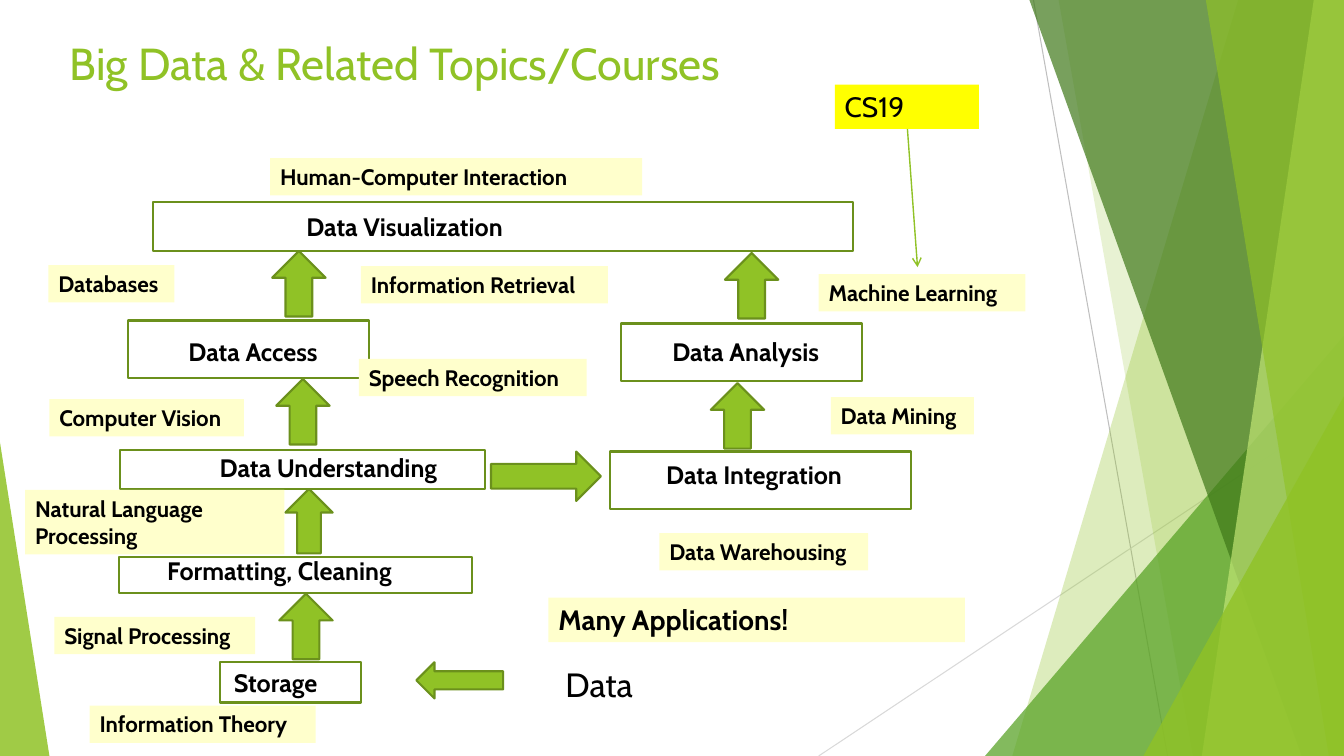
from lxml import etree
from pptx import Presentation
from pptx.dml.color import RGBColor
from pptx.enum.shapes import MSO_CONNECTOR, MSO_SHAPE
from pptx.enum.text import MSO_ANCHOR, PP_ALIGN
from pptx.oxml.ns import qn
from pptx.util import Inches, Pt

RECTANGLE, TRIANGLE = MSO_SHAPE.RECTANGLE, MSO_SHAPE.ISOSCELES_TRIANGLE
UP, LEFT, RIGHT = MSO_SHAPE.UP_ARROW, MSO_SHAPE.LEFT_ARROW, MSO_SHAPE.RIGHT_ARROW
STRAIGHT = MSO_CONNECTOR.STRAIGHT

LIME = RGBColor(0x90, 0xC2, 0x26)
GREEN = RGBColor(0x54, 0xA0, 0x21)
DARK_GREEN = RGBColor(0x3F, 0x78, 0x19)
PALE_LIME = RGBColor(0xC0, 0xE4, 0x74)
OLIVE = RGBColor(0x6B, 0x90, 0x1C)
CREAM = RGBColor(0xFF, 0xFF, 0xCC)
YELLOW = RGBColor(0xFF, 0xFF, 0x00)
WHITE = RGBColor(0xFF, 0xFF, 0xFF)
BLACK = RGBColor(0, 0, 0)
GRAY = RGBColor(0xBF, 0xBF, 0xBF)
LIGHT_GRAY = RGBColor(0xD9, 0xD9, 0xD9)
FONT = "Cabin"
WIDTH, HEIGHT = 13.33, 7.5

prs = Presentation()
prs.slide_width, prs.slide_height = Inches(WIDTH), Inches(HEIGHT)
slide = prs.slides.add_slide(prs.slide_layouts[5])
shapes = slide.shapes


def paint(shape, fill, outline=None, opacity=100):
    """Give a shape a flat fill, with opacity in percent, and an optional outline."""
    shape.shadow.inherit = False
    shape.fill.solid()
    shape.fill.fore_color.rgb = fill
    if opacity < 100:
        color = shape.fill._xPr.find(qn("a:solidFill"))[0]
        etree.SubElement(color, qn("a:alpha"), val=str(opacity * 1000))
    if outline is None:
        shape.line.fill.background()
    else:
        shape.line.color.rgb = outline
        shape.line.width = Pt(1.5)


def add_line(x1, y1, x2, y2, color, weight):
    line = shapes.add_connector(STRAIGHT, Inches(x1), Inches(y1), Inches(x2), Inches(y2))
    line.line.color.rgb = color
    line.line.width = Pt(weight)
    etree.SubElement(line._element.spPr, qn("a:effectLst"))
    return line


# Green facets along the slide edges
add_line(10.25, 0, 11.58, HEIGHT, GRAY, 0.75)
add_line(WIDTH, 4.03, 8.12, HEIGHT, LIGHT_GRAY, 0.75)

# Bands reach the right edge: top x, bottom x, colour, opacity
lower_bands = [(12.28, 10.04, LIME, 30), (10.5, 11.83, LIME, 20)]
upper_bands = [(10.21, 12.91, DARK_GREEN, 70), (13.03, 11.92, PALE_LIME, 70),
               (11.96, 13.18, LIME, 65)]
# Corners: left, top, width, apex position, colour, opacity
back_corner = [(9.77, 3.33, 3.56, 1, GREEN, 72)]
front_corners = [(11.34, 3.93, 1.99, 1, LIME, 80), (0, 4.39, 0.49, 0, LIME, 85)]

for bands, corners in [(lower_bands, back_corner), (upper_bands, front_corners)]:
    for top_x, bottom_x, color, opacity in bands:
        outline = shapes.build_freeform(Inches(top_x), 0)
        outline.add_line_segments([
            (Inches(WIDTH), 0),
            (Inches(WIDTH), Inches(HEIGHT)),
            (Inches(bottom_x), Inches(HEIGHT)),
        ])
        paint(outline.convert_to_shape(), color, opacity=opacity)
    for x, y, w, apex, color, opacity in corners:
        corner = shapes.add_shape(TRIANGLE, Inches(x), Inches(y), Inches(w), Inches(HEIGHT - y))
        corner.adjustments[0] = apex
        paint(corner, color, opacity=opacity)

# Title
title = shapes.title
title.left, title.top, title.width, title.height = 0, Inches(0.32), Inches(10), Inches(0.6)
title.text_frame.text = "Big Data & Related Topics/Courses"
title.text_frame.margin_left = Inches(0.69)
title.text_frame.vertical_anchor = MSO_ANCHOR.MIDDLE
heading = title.text_frame.paragraphs[0]
heading.alignment = PP_ALIGN.LEFT
heading.font.name, heading.font.size = FONT, Pt(32)
heading.font.color.rgb = LIME

# Pipeline stages and the arrows between them
stages = [
    (1.18, 5.53, 3.5, 0.35), (2.18, 6.57, 1.4, 0.4), (1.19, 4.46, 3.62, 0.39),
    (1.27, 3.18, 2.39, 0.57), (6.05, 4.48, 2.99, 0.57), (6.16, 3.21, 2.39, 0.57),
    (1.52, 2, 6.94, 0.49),
]
flows = [
    (UP, 2.77, 5.89, 0.53, 0.65), (UP, 2.83, 4.85, 0.47, 0.64),
    (UP, 2.74, 3.76, 0.53, 0.65), (UP, 7.05, 3.8, 0.53, 0.65),
    (UP, 2.7, 2.49, 0.53, 0.65), (UP, 7.19, 2.51, 0.53, 0.65),
    (RIGHT, 4.87, 4.48, 1.09, 0.49), (LEFT, 4.13, 6.57, 0.86, 0.36),
]
for x, y, w, h in stages:
    stage = shapes.add_shape(RECTANGLE, Inches(x), Inches(y), Inches(w), Inches(h))
    paint(stage, WHITE, OLIVE)
for kind, x, y, w, h in flows:
    flow = shapes.add_shape(kind, Inches(x), Inches(y), Inches(w), Inches(h))
    paint(flow, LIME, OLIVE)

# Wording by style: size, bold, background, height, then text with left, top, width
labels = [
    (18, True, None, 0.4, [
        ("Formatting, Cleaning", 1.56, 5.46, 2.67),
        ("Storage", 2.22, 6.57, 1.08),
        ("Data Understanding", 2.08, 4.44, 2.52),
        ("Data Access", 1.77, 3.29, 1.58),
        ("Data Integration", 6.51, 4.51, 2.1),
        ("Data Analysis", 6.57, 3.29, 1.74),
        ("Data Visualization", 2.94, 2.05, 3.83),
    ]),
    (24, False, None, 0.5, [("Data", 5.51, 6.54, 0.9)]),
    (16, True, CREAM, 0.64, [("Natural Language Processing", 0.25, 4.86, 2.57)]),
    (16, True, CREAM, 0.37, [
        ("Computer Vision", 0.49, 3.96, 1.93),
        ("Speech Recognition", 3.56, 3.56, 2.26),
        ("Signal Processing", 0.54, 6.12, 1.99),
        ("Databases", 0.48, 2.63, 1.25),
        ("Information Retrieval", 3.58, 2.64, 2.45),
        ("Data Warehousing", 6.54, 5.29, 2.07),
        ("Data Mining", 8.24, 3.94, 1.42),
        ("Machine Learning", 8.12, 2.72, 2.05),
        ("Human-Computer Interaction", 2.68, 1.57, 3.69),
        ("Information Theory", 0.89, 7, 2.24),
    ]),
    (20, False, YELLOW, 0.44, [("CS19", 8.28, 0.84, 1.43)]),
    (20, True, CREAM, 0.44, [("Many Applications!", 5.44, 5.93, 4.13)]),
]
for size, bold, background, h, entries in labels:
    for text, x, y, w in entries:
        label = shapes.add_textbox(Inches(x), Inches(y), Inches(w), Inches(h))
        if background is not None:
            paint(label, background)
        label.text_frame.word_wrap = True
        label.text_frame.text = text
        wording = label.text_frame.paragraphs[0]
        wording.font.name, wording.font.size, wording.font.bold = FONT, Pt(size), bold
        wording.font.color.rgb = BLACK

# Pointer from the course to machine learning
pointer = add_line(9, 1.28, 9.1, 2.65, LIME, 1)
etree.SubElement(pointer.line._get_or_add_ln(), qn("a:tailEnd"), type="arrow")

prs.save("out.pptx")
